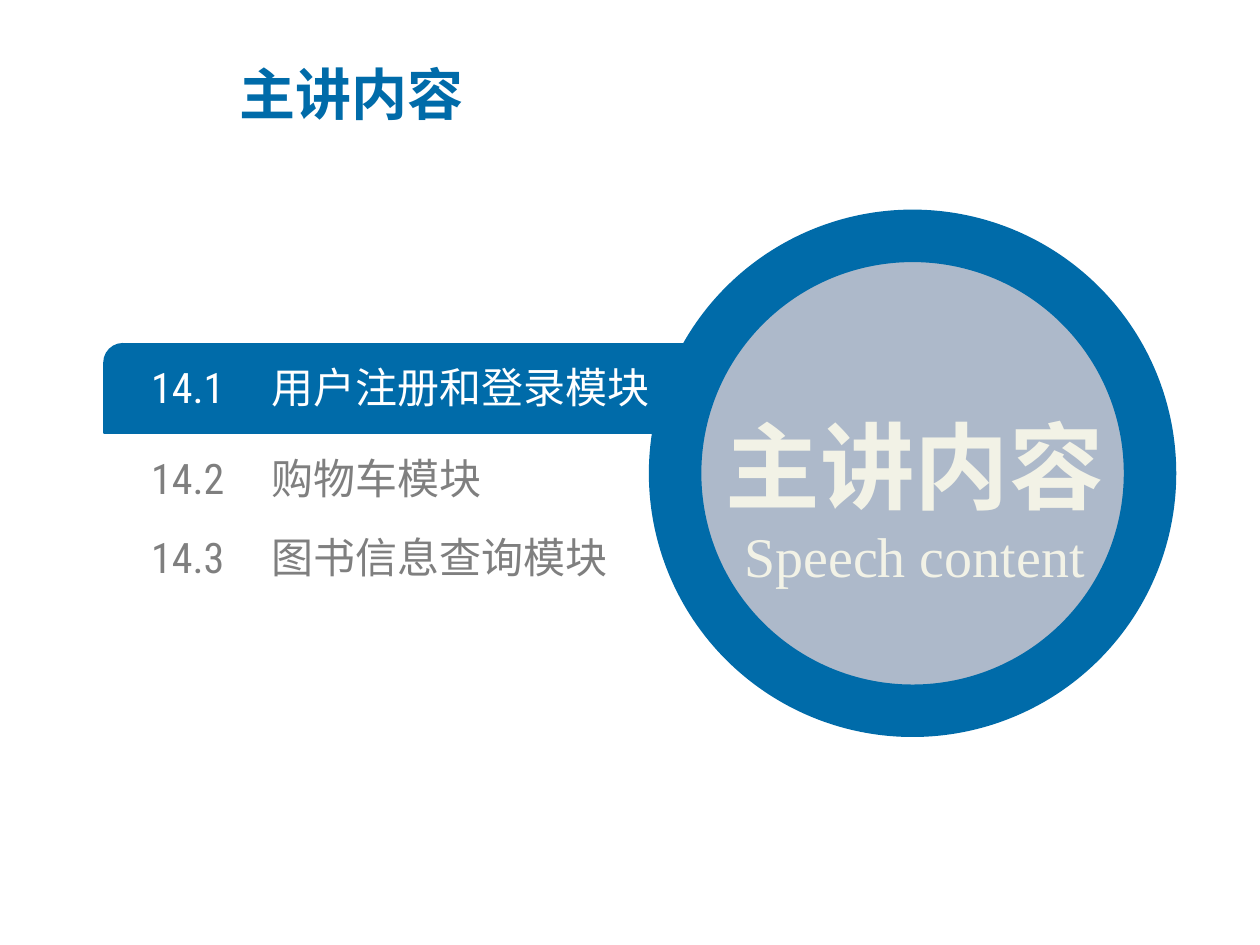
"""Build the agenda slide with a highlighted first topic and a round title badge."""
import pptx
import pptx.dml.color
import pptx.enum.shapes
import pptx.enum.text
import pptx.oxml
import pptx.oxml.ns
import pptx.util

Pt = pptx.util.Pt
RGBColor = pptx.dml.color.RGBColor
SHAPE = pptx.enum.shapes.MSO_SHAPE
ALIGN = pptx.enum.text.PP_ALIGN

BLUE = RGBColor(0x00, 0x6B, 0xA9)
BADGE = RGBColor(0xAD, 0xB9, 0xCA)
CREAM = RGBColor(0xF2, 0xF2, 0xE6)
GRAY = RGBColor(0x7F, 0x7F, 0x7F)
WHITE = RGBColor(0xFF, 0xFF, 0xFF)
CJK_FONT = "Noto Sans CJK SC"


def add_box(page, left, top, width, height):
    box = page.shapes.add_textbox(Pt(left), Pt(top), Pt(width), Pt(height))
    box.text_frame.word_wrap = True
    box.text_frame.vertical_anchor = pptx.enum.text.MSO_ANCHOR.MIDDLE
    return box


def style(para, font, size, color, bold=False):
    for span in para.runs:
        span.font.name = font
        span.font.size = Pt(size)
        span.font.bold = bold
        span.font.color.rgb = color
        east_asian = pptx.oxml.parse_xml(
            f'<a:ea {pptx.oxml.ns.nsdecls("a")} typeface="{CJK_FONT}"/>')
        span.font._element.find(pptx.oxml.ns.qn("a:latin")).addnext(east_asian)


deck = pptx.Presentation()
deck.slide_width = Pt(720)
deck.slide_height = Pt(540)
page = deck.slides.add_slide(deck.slide_layouts[6])

title = add_box(page, 129.6, 31, 389.5, 44)
title.text_frame.text = "主讲内容"
style(title.text_frame.paragraphs[0], CJK_FONT, 32, BLUE, True)

bar = page.shapes.add_shape(
    SHAPE.ROUND_2_DIAG_RECTANGLE, Pt(59.5), Pt(196.5), Pt(385), Pt(51))
bar.adjustments[0] = 0.21
bar.adjustments[1] = 0
badge = page.shapes.add_shape(SHAPE.OVAL, Pt(385.8), Pt(134.8), Pt(271.4), Pt(271.4))
for shape, fill, line_width in ((bar, BLUE, 1), (badge, BADGE, 30)):
    shape.shadow.inherit = False
    shape.fill.solid()
    shape.fill.fore_color.rgb = fill
    shape.line.color.rgb = BLUE
    shape.line.width = Pt(line_width)

topics = (
    ("14.1", "用户注册和登录模块", 206.6, WHITE),
    ("14.2", "购物车模块", 258.2, GRAY),
    ("14.3", "图书信息查询模块", 303.8, GRAY),
)
for number, name, top, color in topics:
    box = add_box(page, 86.4, top, 301.7, 29)
    frame = box.text_frame
    frame.margin_left = frame.margin_right = frame.margin_top = frame.margin_bottom = 0
    frame.text = f"{number}\t{name}"
    para = frame.paragraphs[0]
    style(para, "Roboto Condensed", 24, color)
    para._p.get_or_add_pPr().append(pptx.oxml.parse_xml(
        f'<a:tabLst {pptx.oxml.ns.nsdecls("a")}>'
        f'<a:tab pos="{Pt(69)}" algn="l"/></a:tabLst>'))

caption = add_box(page, 382.3, 196.6, 280.8, 144)
caption.text_frame.text = "主讲内容\nSpeech content"
heading, subtitle = caption.text_frame.paragraphs
heading.alignment = subtitle.alignment = ALIGN.CENTER
heading.line_spacing = 1.5
style(heading, CJK_FONT, 54, CREAM, True)
style(subtitle, "Times New Roman", 32, CREAM)

deck.save("out.pptx")
